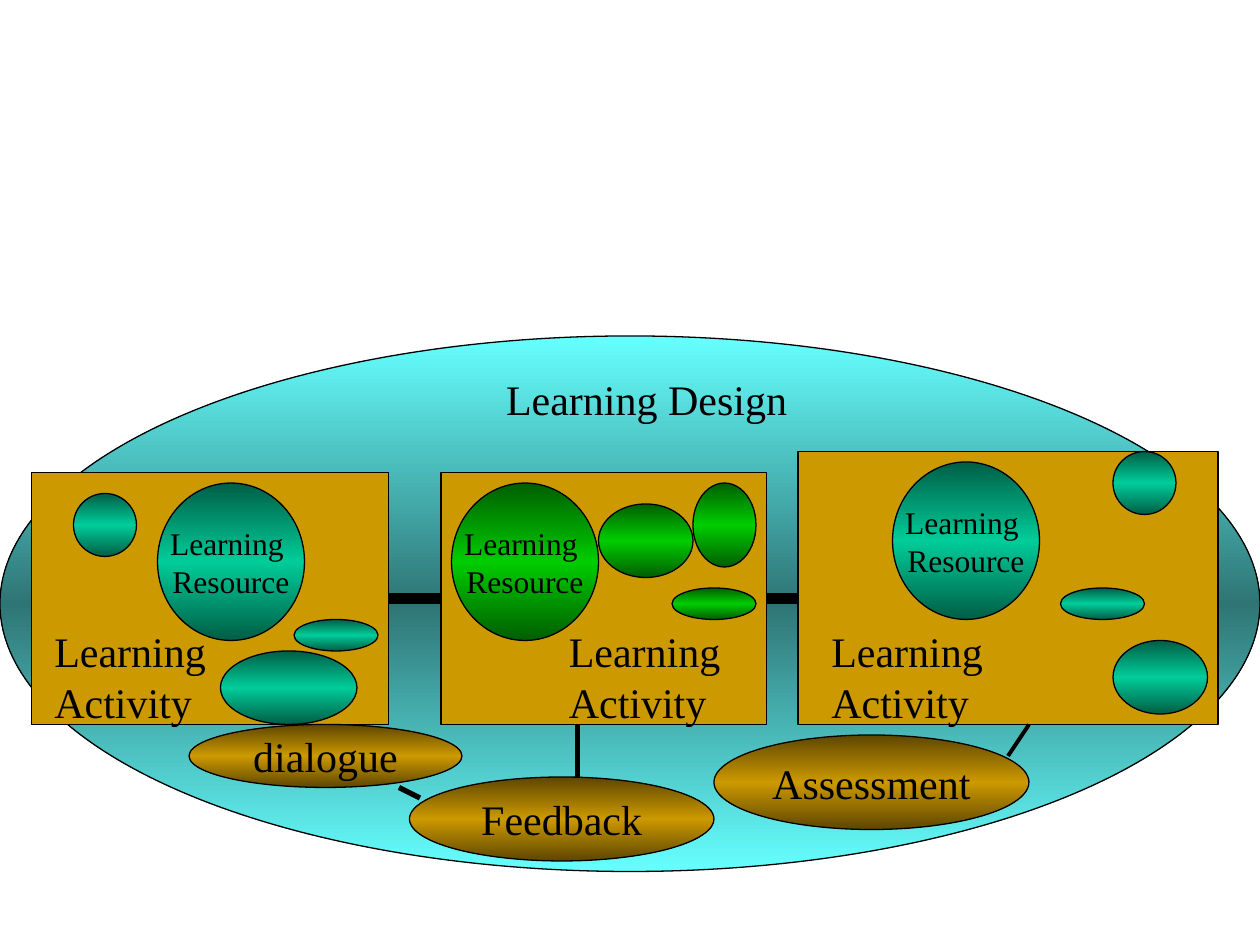
from copy import deepcopy
from dataclasses import dataclass
from typing import NamedTuple, Optional

from pptx import Presentation
from pptx.dml.color import RGBColor
from pptx.enum.shapes import MSO_CONNECTOR, MSO_SHAPE
from pptx.enum.text import MSO_ANCHOR, MSO_AUTO_SIZE, PP_ALIGN
from pptx.oxml.ns import qn
from pptx.oxml.xmlchemy import OxmlElement
from pptx.shapes.autoshape import Shape
from pptx.shapes.connector import Connector
from pptx.slide import Slide
from pptx.text.text import TextFrame
from pptx.util import Emu, Inches, Pt


class Gradient(NamedTuple):
    edge: str
    middle: str


class Area(NamedTuple):
    column: float
    row: float
    columns: float
    rows: float


@dataclass(frozen=True)
class Theme:
    font: str = "Times New Roman"
    ink: str = "000000"
    activity: str = "CC9900"
    design: Gradient = Gradient("66FFFF", "2F7575")
    green: Gradient = Gradient("005E00", "00CC00")
    teal: Gradient = Gradient("005E46", "00CC99")
    support: Gradient = Gradient("5E4600", "CC9900")
    label_size: float = 24
    resource_size: float = 18
    outline: float = 0.75


@dataclass(frozen=True)
class Activity:
    area: Area
    resource: Area
    extras: tuple[Area, ...]
    label_column: float
    gradient: Gradient


class Support(NamedTuple):
    text: str
    area: Area


class Link(NamedTuple):
    start: tuple[float, float]
    end: tuple[float, float]
    weight: float


THEME = Theme()
UNIT = Inches(1) / 12
DESIGN = Area(0, 32, 120, 51)
TITLE = Area(47, 35, 29.2, 6)
LABEL_ROW, LABEL_COLUMNS, LABEL_ROWS = 59, 16.8, 10.8

ACTIVITIES = (
    Activity(Area(3, 45, 34, 24), Area(15, 46, 14, 15),
             (Area(7, 47, 6, 6), Area(28, 59, 8, 3), Area(21, 62, 13, 7)), 4, THEME.teal),
    Activity(Area(42, 45, 31, 24), Area(43, 46, 14, 15),
             (Area(66, 46, 6, 8), Area(64, 56, 8, 3), Area(57, 48, 9, 7)), 53, THEME.green),
    Activity(Area(76, 43, 40, 26), Area(85, 44, 14, 15),
             (Area(106, 43, 6, 6), Area(101, 56, 8, 3), Area(106, 61, 9, 7)), 78, THEME.teal),
)
SUPPORTS = (
    Support("dialogue", Area(18, 69, 26, 6)),
    Support("Feedback", Area(39, 74, 29, 8)),
    Support("Assessment", Area(68, 70, 30, 9)),
)
SEQUENCE = (Link((37, 57), (42, 57), 6), Link((73, 57), (76, 57), 6))
SUPPORT_LINKS = (
    Link((38, 75), (40, 76), 3),
    Link((55, 69), (55, 74), 3),
    Link((98, 69), (96, 72), 2.25),
)


def place(area: Area) -> tuple[Emu, ...]:
    """Turn grid cells into slide lengths."""
    return tuple(Emu(round(cells * UNIT)) for cells in area)


def write(frame: TextFrame, text: str, size: float, align: PP_ALIGN, anchor: MSO_ANCHOR) -> None:
    """Fill a text frame with evenly formatted, unwrapped paragraphs."""
    frame.text = text
    frame.word_wrap = False
    frame.vertical_anchor = anchor
    for para in frame.paragraphs:
        para.alignment = align
        para.font.name = THEME.font
        para.font.size = Pt(size)
        para.font.color.rgb = RGBColor.from_string(THEME.ink)


def add_outlined(slide: Slide, kind: MSO_SHAPE, area: Area) -> Shape:
    """Add a preset shape with the thin outline and no shadow."""
    shape = slide.shapes.add_shape(kind, *place(area))
    shape.shadow.inherit = False
    shape.line.color.rgb = RGBColor.from_string(THEME.ink)
    shape.line.width = Pt(THEME.outline)
    return shape


def add_box(slide: Slide, area: Area) -> Shape:
    """Add the plain rectangle of an activity."""
    box = add_outlined(slide, MSO_SHAPE.RECTANGLE, area)
    box.fill.solid()
    box.fill.fore_color.rgb = RGBColor.from_string(THEME.activity)
    return box


def add_ellipse(slide: Slide, area: Area, gradient: Gradient,
                text: str = "", size: float = THEME.label_size) -> None:
    """Add an ellipse shaded from edge to middle to edge, with optional text."""
    ellipse = add_outlined(slide, MSO_SHAPE.OVAL, area)
    ellipse.fill.gradient()
    ellipse.fill.gradient_angle = 270
    stops = ellipse.fill.gradient_stops
    for stop, colour, position in zip(stops, gradient, (0, 0.5)):
        stop.color.rgb = RGBColor.from_string(colour)
        stop.position = position
    stop_list = ellipse.element.spPr.find(".//" + qn("a:gsLst"))
    last = deepcopy(stop_list[0])
    last.set("pos", "100000")
    stop_list.append(last)
    if text:
        write(ellipse.text_frame, text, size, PP_ALIGN.CENTER, MSO_ANCHOR.MIDDLE)


def add_activity(slide: Slide, activity: Activity) -> Shape:
    """Draw an activity with its resources and label, and return its box."""
    box = add_box(slide, activity.area)
    add_ellipse(slide, activity.resource, activity.gradient,
                "Learning \nResource", THEME.resource_size)
    for extra in activity.extras:
        add_ellipse(slide, extra, activity.gradient)
    area = Area(activity.label_column, LABEL_ROW, LABEL_COLUMNS, LABEL_ROWS)
    label = slide.shapes.add_textbox(*place(area))
    write(label.text_frame, "Learning\nActivity", THEME.label_size, PP_ALIGN.LEFT, MSO_ANCHOR.TOP)
    label.text_frame.auto_size = MSO_AUTO_SIZE.SHAPE_TO_FIT_TEXT
    return box


def add_link(slide: Slide, link: Link, source: Optional[Shape] = None,
             target: Optional[Shape] = None) -> Connector:
    """Draw a straight line, joined to box sides where boxes are given."""
    connector = slide.shapes.add_connector(MSO_CONNECTOR.STRAIGHT, *place(Area(*link.start, *link.end)))
    connector.line.color.rgb = RGBColor.from_string(THEME.ink)
    connector.line.width = Pt(link.weight)
    connector.element.spPr.append(OxmlElement("a:effectLst"))
    if source is not None:
        connector.begin_connect(source, 3)
    if target is not None:
        connector.end_connect(target, 1)
    return connector


def add_title(slide: Slide) -> None:
    """Move the title placeholder in front of the design ellipse."""
    title = slide.shapes.title
    title.left, title.top, title.width, title.height = place(TITLE)
    write(title.text_frame, "Learning Design", THEME.label_size, PP_ALIGN.LEFT, MSO_ANCHOR.TOP)
    title.text_frame.auto_size = MSO_AUTO_SIZE.SHAPE_TO_FIT_TEXT
    title.element.getparent().append(title.element)


def main() -> None:
    """Build the learning design slide."""
    deck = Presentation()
    deck.slide_width, deck.slide_height = Inches(10), Inches(7.5)
    slide = deck.slides.add_slide(deck.slide_layouts[5])
    add_ellipse(slide, DESIGN, THEME.design)
    first, second, _ = [add_activity(slide, activity) for activity in ACTIVITIES]
    for link, source, target in zip(SEQUENCE, (first, second), (second, None)):
        add_link(slide, link, source, target)
    add_title(slide)
    for support in SUPPORTS:
        add_ellipse(slide, support.area, THEME.support, support.text)
    for link in SUPPORT_LINKS:
        add_link(slide, link)
    deck.save("out.pptx")


if __name__ == "__main__":
    main()
